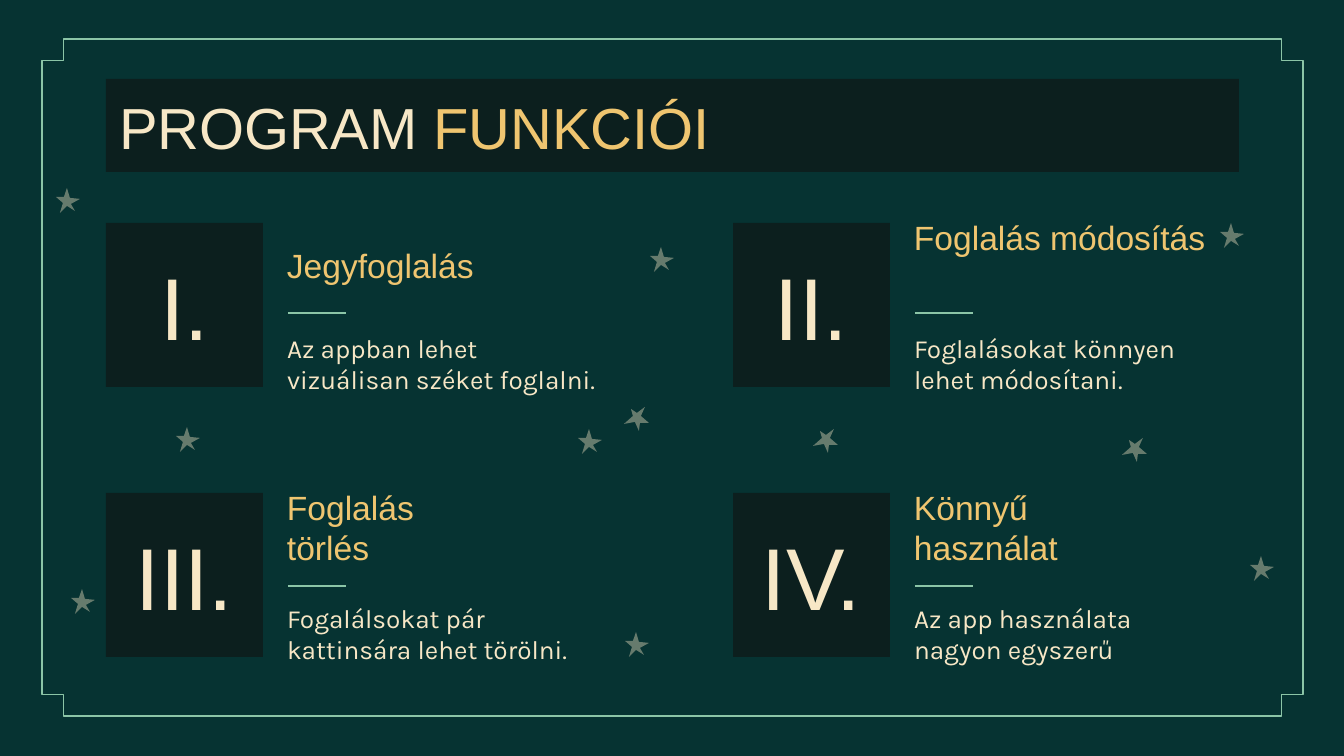
from lxml.etree import SubElement
from pptx import Presentation
from pptx.dml.color import RGBColor
from pptx.enum.shapes import MSO_CONNECTOR, MSO_SHAPE as SHAPE
from pptx.enum.text import MSO_ANCHOR as ANCHOR, MSO_AUTO_SIZE as AUTO_SIZE, PP_ALIGN as ALIGN
from pptx.oxml.ns import qn
from pptx.util import Pt

PX = 9144000 / 1344  # EMU per pixel
GREEN = RGBColor(0x06, 0x33, 0x32)
DARK = RGBColor(0x0C, 0x1F, 0x1E)
MINT = RGBColor(0x8B, 0xC5, 0xA7)
CREAM = RGBColor(0xF7, 0xE7, 0xC6)
GOLD = RGBColor(0xEF, 0xC5, 0x70)


def px(*lengths):
    return [round(length * PX) for length in lengths]


def write(shape, lines, size, color, font="Arial", align=ALIGN.LEFT, anchor=ANCHOR.TOP):
    frame = shape.text_frame
    frame.word_wrap = True
    frame.auto_size = AUTO_SIZE.NONE
    frame.vertical_anchor = anchor
    frame.margin_left, frame.margin_top, frame.margin_right, frame.margin_bottom = px(13, 13, 13, 13)
    frame.text = lines
    for paragraph in frame.paragraphs:
        properties = paragraph._p.get_or_add_pPr()
        properties.set("marL", "0")
        properties.set("indent", "0")
        SubElement(properties, qn("a:buNone"))
        paragraph.alignment = align
        paragraph.space_before = Pt(0)
        paragraph.font.name = font
        paragraph.font.size = Pt(size)
        paragraph.font.bold = False
        paragraph.font.color.rgb = color


prs = Presentation()
prs.slide_width, prs.slide_height = px(1344, 756)
slide = prs.slides.add_slide(prs.slide_layouts[4])  # title and four bodies
shapes = slide.shapes
slide.background.fill.solid()
slide.background.fill.fore_color.rgb = GREEN

# Scattered stars, upright and tilted
upright = [(11, 0), (8, 9), (0, 9), (7, 15), (4, 25), (11, 18), (19, 23), (15, 16), (24, 11), (14, 10)]
tilted = [(21, 0), (13, 6), (7, 2), (9, 9), (0, 17), (11, 15), (15, 24), (16, 16), (25, 16), (17, 9)]
star_places = [
    (upright, [(578, 429), (650, 247), (625, 632), (56, 188),
               (1220, 223), (1250, 556), (176, 427), (71, 589)]),
    (tilted, [(813, 429), (1122, 438), (624, 407)]),
]
for outline, places in star_places:
    for left, top in places:
        points = [(left + x, top + y) for x, y in outline]
        builder = shapes.build_freeform(*points[0], scale=PX)
        builder.add_line_segments(points[1:], close=True)
        star = builder.convert_to_shape()
        star.shadow.inherit = False
        star.fill.solid()
        star.fill.fore_color.rgb = CREAM
        star.line.fill.background()
        tint = star._element.spPr.find(".//" + qn("a:srgbClr"))
        SubElement(tint, qn("a:alpha"), val="40000")

# Notched frame
border = shapes.add_shape(SHAPE.CROSS, *px(42, 39, 1261, 677))
border.adjustments[0] = 0.032
border.shadow.inherit = False
border.fill.background()
border.line.color.rgb = MINT
border.line.width = Pt(0.75)

# Title bar
title = shapes.title
title.left, title.top, title.width, title.height = px(106, 79, 1133, 93)
title.fill.solid()
title.fill.fore_color.rgb = DARK
write(title, "PROGRAM", 31, CREAM)
accent = title.text_frame.paragraphs[0].add_run()
accent.text = " FUNKCIÓI"
accent.font.color.rgb = GOLD

# Feature cards: numeral, heading, heading drop, rule drop, description
features = [
    ("I.", "Jegyfoglalás", 9, 90, "Az appban lehet vizuálisan széket foglalni."),
    ("II.", "Foglalás módosítás", -19, 90, "Foglalásokat könnyen lehet módosítani."),
    ("III.", "Foglalás\ntörlés", -19, 93, "Fogalálsokat pár kattinsára lehet törölni."),
    ("IV.", "Könnyű\nhasználat", -19, 93, "Az app használata nagyon egyszerű"),
]
descriptions = [holder for holder in slide.placeholders if holder.placeholder_format.idx in (1, 2, 3, 4)]
for i, (numeral, heading, heading_drop, rule_drop, text) in enumerate(features):
    left = 106 + i % 2 * 627
    top = 223 + i // 2 * 270

    card = shapes.add_shape(SHAPE.RECTANGLE, *px(left, top, 157, 164))
    card.shadow.inherit = False
    card.fill.solid()
    card.fill.fore_color.rgb = DARK
    card.line.fill.background()
    write(card, numeral, 47, CREAM, align=ALIGN.CENTER, anchor=ANCHOR.MIDDLE)

    heading_box = shapes.add_textbox(*px(left + 168, top + heading_drop, 336, 108))
    write(heading_box, heading, 18, GOLD)

    description = descriptions[i]
    description.left, description.top, description.width, description.height = px(left + 168, top + 96, 336, 89)
    write(description, text, 14, CREAM, font="Karla")

    rule_y = top + rule_drop
    rule = shapes.add_connector(MSO_CONNECTOR.STRAIGHT, *px(left + 182, rule_y, left + 240, rule_y))
    rule.line.color.rgb = MINT
    rule.line.width = Pt(0.75)
    SubElement(rule._element.spPr, qn("a:effectLst"))

prs.save("out.pptx")
